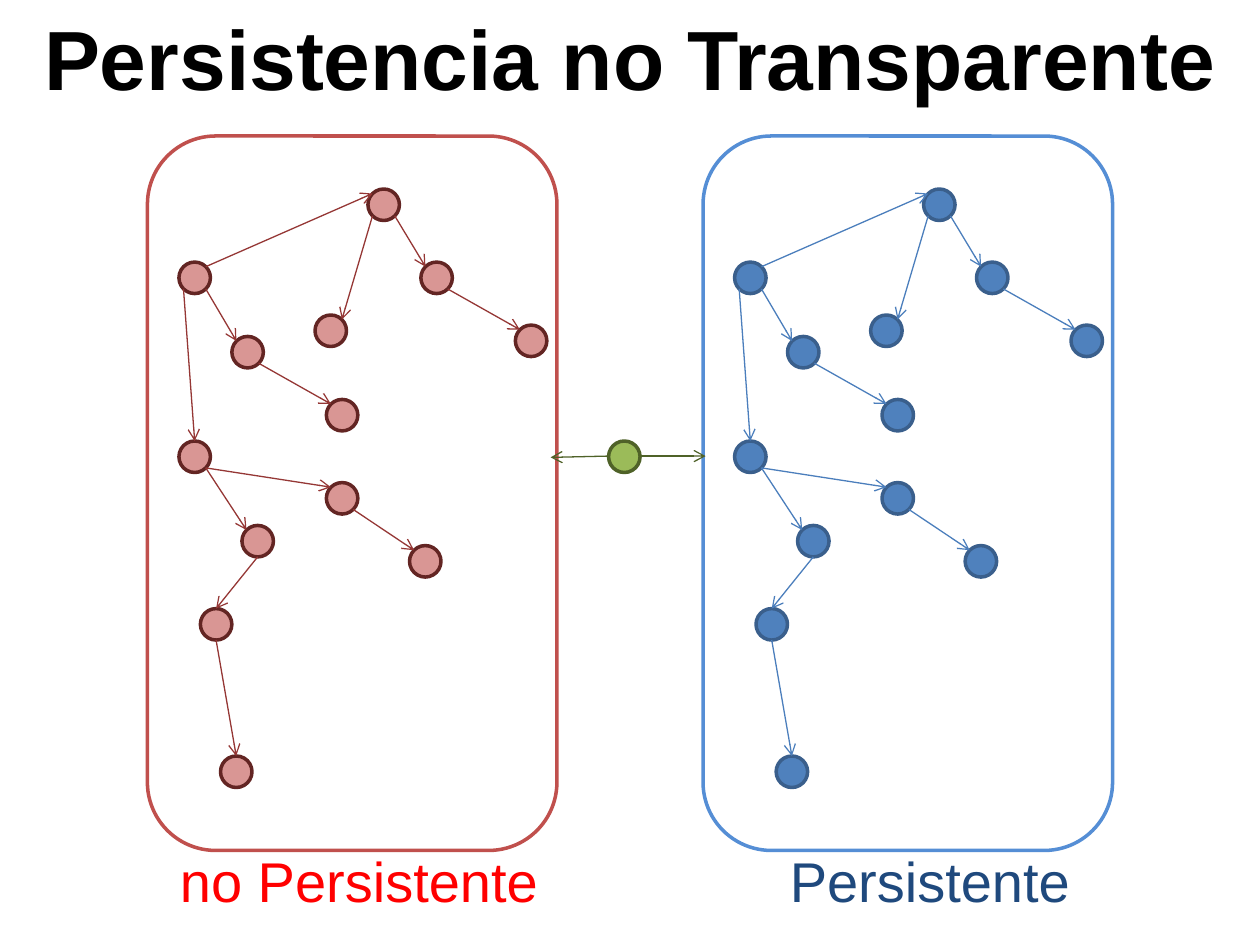
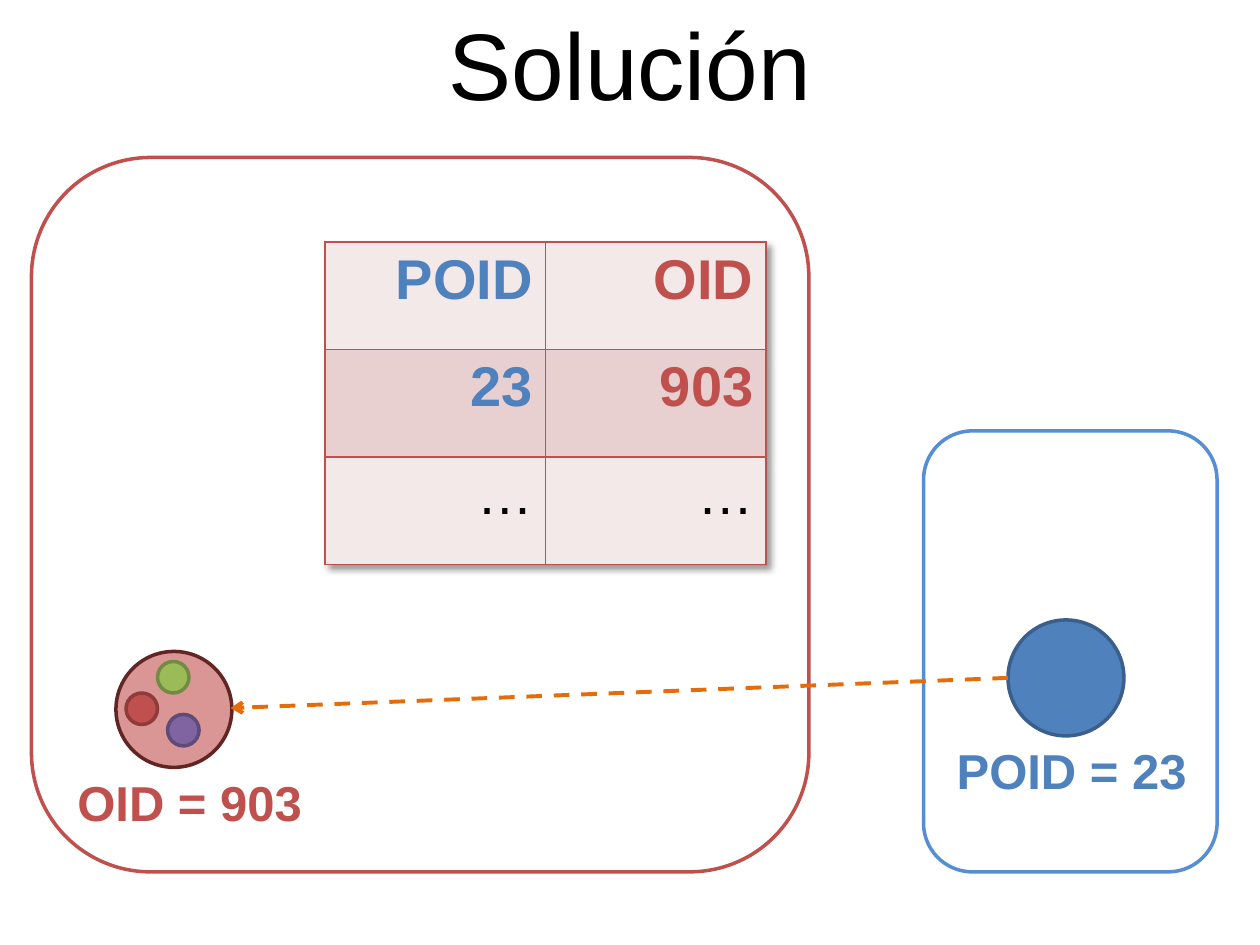
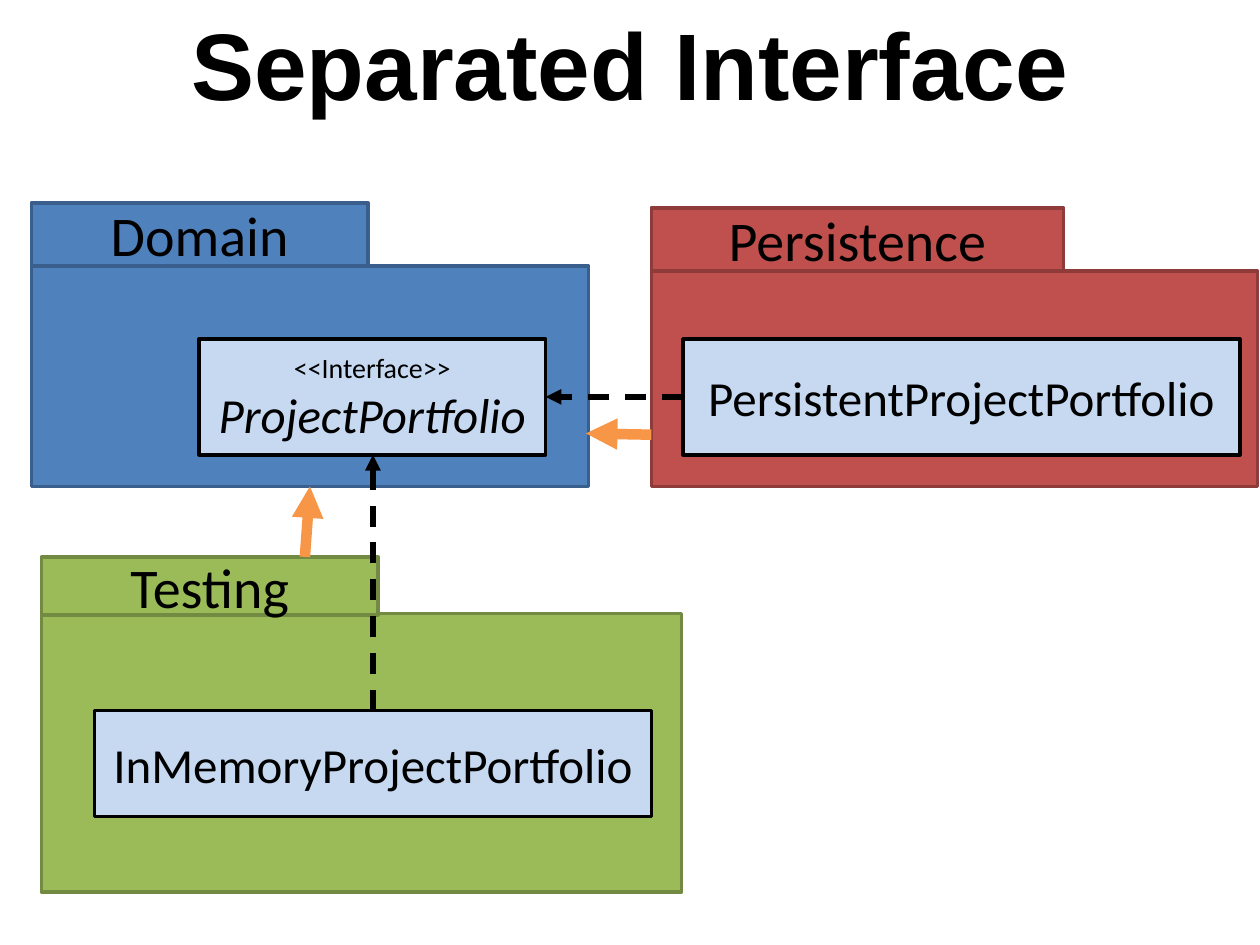
from typing import NamedTuple

from lxml.etree import SubElement
from pptx import Presentation
from pptx.dml.color import RGBColor
from pptx.enum.dml import MSO_LINE
from pptx.enum.shapes import MSO_CONNECTOR, MSO_SHAPE
from pptx.enum.text import MSO_AUTO_SIZE, PP_ALIGN
from pptx.oxml import parse_xml
from pptx.oxml.ns import nsdecls, qn
from pptx.util import Inches, Pt

BLACK = RGBColor(0x00, 0x00, 0x00)
RED = RGBColor(0xC0, 0x50, 0x4D)
BRICK = RGBColor(0x8E, 0x3B, 0x39)
MAROON = RGBColor(0x63, 0x25, 0x23)
WINE = RGBColor(0x95, 0x37, 0x35)
PINK = RGBColor(0xD9, 0x96, 0x94)
BRIGHT = RGBColor(0xFF, 0x00, 0x00)
BLUE = RGBColor(0x4F, 0x81, 0xBD)
STEEL = RGBColor(0x3A, 0x5F, 0x8C)
AZURE = RGBColor(0x4B, 0x7E, 0xBC)
SKY = RGBColor(0x55, 0x8E, 0xD5)
NAVY = RGBColor(0x1F, 0x49, 0x7D)
PALE = RGBColor(0xC6, 0xD9, 0xF1)
GREEN = RGBColor(0x9B, 0xBB, 0x59)
OLIVE = RGBColor(0x4F, 0x62, 0x28)
MOSS = RGBColor(0x73, 0x8A, 0x42)
PURPLE = RGBColor(0x80, 0x64, 0xA2)
PLUM = RGBColor(0x5F, 0x4A, 0x78)
ORANGE = RGBColor(0xF7, 0x96, 0x46)
AMBER = RGBColor(0xE4, 0x6C, 0x0A)
BLUSH = RGBColor(0xF4, 0xE9, 0xE9)
ROSE = RGBColor(0xE8, 0xD0, 0xD0)

LABEL = {"name": "Arial", "size": Pt(32), "bold": False}
TITLE = LABEL | {"size": Pt(54)}
STRONG = LABEL | {"bold": True}
CODE = {"name": "Calibri", "size": Pt(28)}
TAB = CODE | {"size": Pt(32)}
NOTE = CODE | {"size": Pt(16)}


class Box(NamedTuple):
    left: float
    top: float
    width: float
    height: float

    def place(self) -> list:
        return [Inches(side) for side in self]


class Line(NamedTuple):
    text: str
    style: dict
    color: RGBColor = BLACK


class Tree(NamedTuple):
    left: float
    frame: RGBColor
    fill: RGBColor
    edge: RGBColor
    link: RGBColor


class Pack(NamedTuple):
    body: Box
    tab: Box
    item: Box
    fill: RGBColor
    edge: RGBColor
    name: str
    lines: list[Line]


class Arrow(NamedTuple):
    start: tuple[float, float]
    end: tuple[float, float]
    color: RGBColor
    width: float = 0.75
    head: str = "arrow"
    dash: bool = False


# Tree nodes: offset from the panel's left edge, and top on the slide
DOT = 0.25
NODES = {
    "root": (1.75, 1.5), "left": (0.25, 2.08), "right": (2.17, 2.08),
    "mid": (1.33, 2.5), "far": (2.92, 2.58), "fork": (0.67, 2.67),
    "leaf": (1.42, 3.17), "hub": (0.25, 3.5), "east": (1.42, 3.83),
    "south": (0.75, 4.17), "tip": (2.08, 4.33), "low": (0.42, 4.83),
    "end": (0.58, 6),
}
EDGES = [
    ("hub", "se", "south", "nw"), ("hub", "se", "east", "nw"),
    ("east", "se", "tip", "nw"), ("low", "s", "end", "n"),
    ("south", "s", "low", "n"), ("left", "se", "fork", "nw"),
    ("fork", "se", "leaf", "nw"), ("left", "sw", "hub", "n"),
    ("root", "se", "right", "nw"), ("right", "se", "far", "nw"),
    ("root", "sw", "mid", "ne"), ("left", "ne", "root", "nw"),
]
DIAG = DOT / 2 * 0.5 ** 0.5
SITES = {
    "n": (0, -DOT / 2), "s": (0, DOT / 2),
    "nw": (-DIAG, -DIAG), "ne": (DIAG, -DIAG),
    "sw": (-DIAG, DIAG), "se": (DIAG, DIAG),
}


def write(frame, lines: list[Line], align: PP_ALIGN) -> None:
    for i, line in enumerate(lines):
        para = frame.add_paragraph() if i else frame.paragraphs[0]
        para.alignment = align
        run = para.add_run()
        run.text = line.text
        for key, value in line.style.items():
            setattr(run.font, key, value)
        run.font.color.rgb = line.color


def add_text(slide, box: Box, line: Line, align=PP_ALIGN.CENTER) -> None:
    frame = slide.shapes.add_textbox(*box.place()).text_frame
    frame.word_wrap = True
    frame.auto_size = MSO_AUTO_SIZE.SHAPE_TO_FIT_TEXT
    write(frame, [line], align)


def add_shape(shapes, kind: MSO_SHAPE, box: Box, fill: RGBColor | None,
              edge: RGBColor, lines: list[Line] | None = None) -> None:
    shape = shapes.add_shape(kind, *box.place())
    shape.shadow.inherit = False
    if fill is None:
        shape.fill.background()
    else:
        shape.fill.solid()
        shape.fill.fore_color.rgb = fill
    shape.line.color.rgb = edge
    shape.line.width = Pt(2)
    if lines:
        write(shape.text_frame, lines, PP_ALIGN.CENTER)


def add_panel(slide, box: Box, edge: RGBColor) -> None:
    add_shape(slide.shapes, MSO_SHAPE.ROUNDED_RECTANGLE, box, None, edge)


def add_dot(slide, left: float, top: float, fill: RGBColor, edge: RGBColor,
            size: float = DOT) -> None:
    add_shape(slide.shapes, MSO_SHAPE.FLOWCHART_CONNECTOR,
              Box(left, top, size, size), fill, edge)


def add_arrow(slide, arrow: Arrow) -> None:
    ends = [Inches(value) for value in (*arrow.start, *arrow.end)]
    link = slide.shapes.add_connector(MSO_CONNECTOR.STRAIGHT, *ends)
    link.line.color.rgb = arrow.color
    link.line.width = Pt(arrow.width)
    if arrow.dash:
        link.line.dash_style = MSO_LINE.DASH
    props = link._element.spPr
    SubElement(props.find(qn("a:ln")), qn("a:tailEnd"), type=arrow.head)
    SubElement(props, qn("a:effectLst"))


def add_tree(slide, tree: Tree) -> None:
    add_panel(slide, Box(tree.left, 1.08, 3.25, 5.67), tree.frame)
    for left, top in NODES.values():
        add_dot(slide, tree.left + left, top, tree.fill, tree.edge)

    def site(node: str, side: str) -> tuple[float, float]:
        (left, top), (dx, dy) = NODES[node], SITES[side]
        return tree.left + left + DOT / 2 + dx, top + DOT / 2 + dy

    for tail, out, head, into in EDGES:
        add_arrow(slide, Arrow(site(tail, out), site(head, into), tree.link))


def add_pack(slide, pack: Pack) -> None:
    """Draw a UML package: body, name tab and the class inside."""
    shapes = slide.shapes.add_group_shape().shapes
    rect = MSO_SHAPE.RECTANGLE
    add_shape(shapes, rect, pack.body, pack.fill, pack.edge)
    add_shape(shapes, rect, pack.tab, pack.fill, pack.edge,
              [Line(pack.name, TAB)])
    add_shape(shapes, rect, pack.item, PALE, BLACK, pack.lines)


def add_borders(cell, color: RGBColor) -> None:
    props = cell._tc.get_or_add_tcPr()
    for i, side in enumerate(("lnL", "lnR", "lnT", "lnB")):
        props.insert(i, parse_xml(
            f'<a:{side} {nsdecls("a")} w="12700"><a:solidFill>'
            f'<a:srgbClr val="{color}"/></a:solidFill></a:{side}>'))


def add_map(slide) -> None:
    """Draw the table that maps each POID to its OID."""
    rows = [("POID", "OID"), ("23", "903"), ("…", "…")]
    box = Box(2.58, 1.92, 3.5, 2.56)
    table = slide.shapes.add_table(len(rows), 2, *box.place()).table
    table.first_row = table.horz_banding = False
    table._tbl.tblPr.insert(0, parse_xml(
        f'<a:effectLst {nsdecls("a")}><a:outerShdw blurRad="50800" '
        'dist="38100" dir="2700000" algn="tl" rotWithShape="0">'
        '<a:srgbClr val="000000"><a:alpha val="40000"/></a:srgbClr>'
        '</a:outerShdw></a:effectLst>'))
    for r, row in enumerate(rows):
        for c, text in enumerate(row):
            cell = table.cell(r, c)
            cell.fill.solid()
            cell.fill.fore_color.rgb = ROSE if r % 2 else BLUSH
            add_borders(cell, RED)
            line = (Line(text, LABEL) if text == "…"
                    else Line(text, STRONG, (BLUE, RED)[c]))
            write(cell.text_frame, [line], PP_ALIGN.RIGHT)


def add_slide(deck, title: str, style: dict, height: float = 1.01):
    slide = deck.slides.add_slide(deck.slide_layouts[6])
    add_text(slide, Box(0, 0, 10, height), Line(title, style))
    return slide


def draw_trees(deck) -> None:
    slide = add_slide(deck, "Persistencia no Transparente",
                      STRONG | {"size": Pt(48)}, 0.91)
    add_tree(slide, Tree(5.58, SKY, BLUE, STEEL, AZURE))
    add_tree(slide, Tree(1.17, RED, PINK, MAROON, WINE))
    add_text(slide, Box(6.17, 6.67, 3.83, 0.64),
             Line("Persistente", LABEL, NAVY), PP_ALIGN.LEFT)
    add_text(slide, Box(1.33, 6.67, 3.17, 0.64),
             Line("no Persistente", LABEL, BRIGHT), PP_ALIGN.LEFT)
    add_dot(slide, 4.83, 3.5, GREEN, OLIVE)
    add_arrow(slide, Arrow((4.83, 3.62), (4.37, 3.63), OLIVE))
    add_arrow(slide, Arrow((5.08, 3.62), (5.6, 3.62), OLIVE))


def draw_answer(deck) -> None:
    slide = add_slide(deck, "Solución", TITLE)
    tag = STRONG | {"size": Pt(28)}
    add_panel(slide, Box(0.25, 1.25, 6.17, 5.67), RED)
    add_panel(slide, Box(7.33, 3.42, 2.33, 3.5), SKY)
    add_dot(slide, 8, 4.92, BLUE, STEEL, 0.92)
    add_text(slide, Box(7.42, 5.83, 2.17, 0.57), Line("POID = 23", tag, BLUE))
    add_dot(slide, 0.92, 5.17, PINK, MAROON, 0.92)
    add_arrow(slide, Arrow((8, 5.38), (1.83, 5.62), AMBER, 2.25, dash=True))
    add_text(slide, Box(0.42, 6.08, 2.17, 0.57), Line("OID = 903", tag, RED))
    add_map(slide)
    add_dot(slide, 1, 5.5, RED, BRICK)
    add_dot(slide, 1.33, 5.67, PURPLE, PLUM)
    add_dot(slide, 1.25, 5.25, GREEN, MOSS)


def draw_packs(deck) -> None:
    slide = add_slide(deck, "Separated Interface", TITLE | {"bold": True})
    packs = [
        Pack(Box(0.25, 2.11, 4.42, 1.75), Box(0.25, 1.61, 2.67, 0.5),
             Box(1.58, 2.69, 2.75, 0.92), BLUE, STEEL, "Domain",
             [Line("<<Interface>>", NOTE),
              Line("ProjectPortfolio", CODE | {"italic": True})]),
        Pack(Box(0.33, 4.87, 5.08, 2.21), Box(0.33, 4.42, 2.67, 0.46),
             Box(0.75, 5.64, 4.42, 0.84), GREEN, MOSS, "Testing",
             [Line("InMemoryProjectPortfolio", CODE)]),
        Pack(Box(5.17, 2.15, 4.81, 1.71), Box(5.17, 1.65, 3.27, 0.5),
             Box(5.42, 2.69, 4.42, 0.92), RED, BRICK, "Persistence",
             [Line("PersistentProjectPortfolio", CODE)]),
    ]
    for pack in packs:
        add_pack(slide, pack)
    for start, end in [((2.96, 5.64), (2.96, 3.61)),
                       ((5.42, 3.15), (4.33, 3.15))]:
        add_arrow(slide, Arrow(start, end, BLACK, 3, "triangle", True))
    for start, end in [((2.42, 4.42), (2.46, 3.86)),
                       ((5.17, 3.45), (4.65, 3.44))]:
        add_arrow(slide, Arrow(start, end, ORANGE, 6, "triangle"))


def main() -> None:
    deck = Presentation()
    deck.slide_width, deck.slide_height = Inches(10), Inches(7.5)
    for draw in (draw_trees, draw_answer, draw_packs):
        draw(deck)
    deck.save("out.pptx")


if __name__ == "__main__":
    main()
